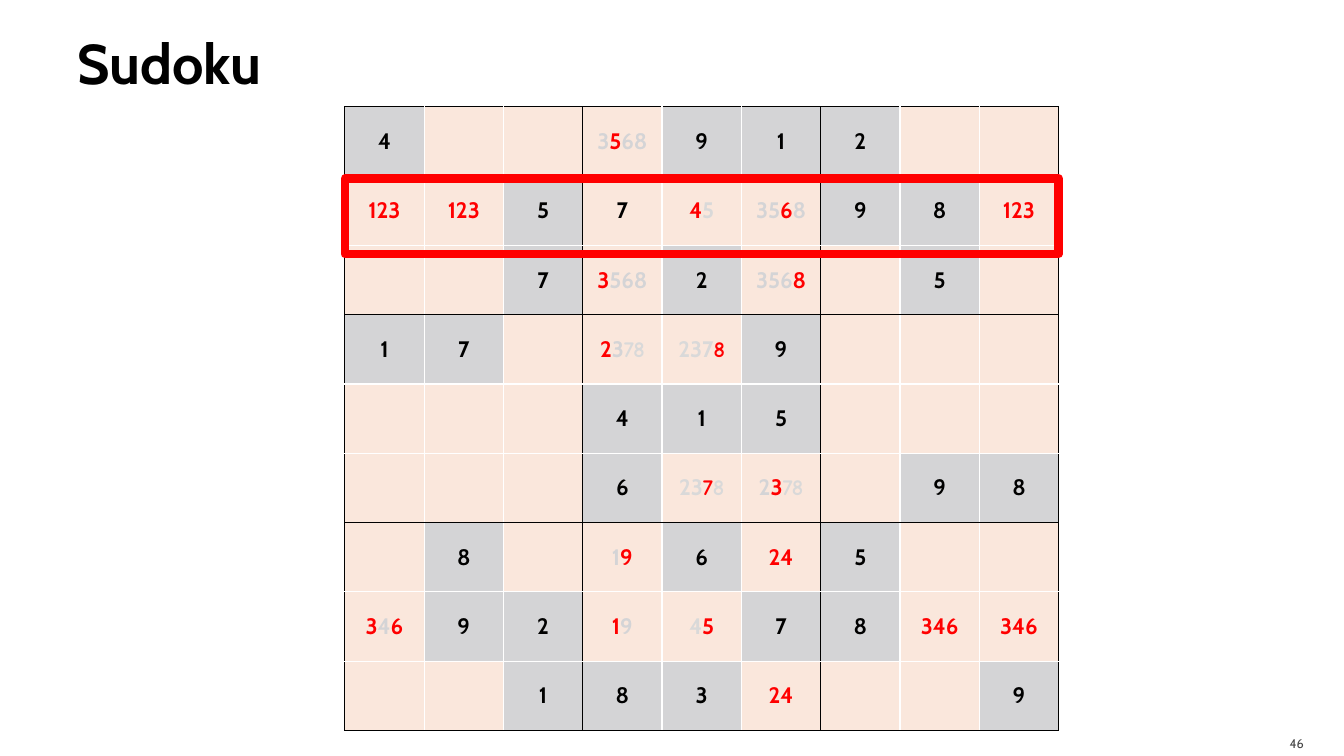
import pptx
import pptx.dml.color
import pptx.enum.shapes
import pptx.enum.text
import pptx.oxml
import pptx.oxml.ns
import pptx.util

Inches = pptx.util.Inches
ALIGN = pptx.enum.text.PP_ALIGN
MIDDLE = pptx.enum.text.MSO_ANCHOR.MIDDLE

BLACK, WHITE, RED = "000000", "FFFFFF", "FF0000"
GIVEN, OPEN, PALE = "D4D4D6", "FAE7DC", "D9D9D9"

INKS = {
    "k": ("Cabin", BLACK),
    "r": ("Cabin", RED),
    "g": ("Cabin", GIVEN),
    "l": ("Cabin", PALE),
    "R": ("Comic Neue", RED),
    "L": ("Comic Neue", PALE),
}

GRID = """
4 . . g3+r5+g68 9 1 2 . .
r123 r123 5 k7 r4+l5 g35+r6+g8 9 8 r123
. . 7 r3+g568 2 g356+r8 . 5 .
1 7 . r2+g3+L78 l237+R8 9 . . .
. . . 4 1 5 . . .
. . . 6 l23+R7+L8 g2+r3+L78 . 9 8
. 8 . g1+r9 6 r24 5 . .
r3+g4+r6 9 2 r1+g9 l4+r5 7 8 r346 r346
. . 1 8 3 r24 . . 9
"""


def rgb(code):
    return pptx.dml.color.RGBColor.from_string(code)


def box(left, top, width, height):
    return [Inches(side) for side in (left, top, width, height)]


def assign(target, **values):
    for name, value in values.items():
        setattr(target, name, value)


class Painter:
    """Draws styled text, a sudoku grid and frames on one slide."""

    def __init__(self, slide):
        self.shapes = slide.shapes

    def run(self, para, text, size, face="Cabin", ink=BLACK, bold=True):
        run = para.add_run()
        run.text = text
        assign(run.font, name=face, size=pptx.util.Pt(size), bold=bold)
        run.font.color.rgb = rgb(ink)

    def label(self, place, text, size, inset, align=ALIGN.LEFT, **style):
        frame = self.shapes.add_textbox(*box(*place)).text_frame
        sides = ("margin_left", "margin_top", "margin_right", "margin_bottom")
        margins = dict(zip(sides, map(Inches, inset)))
        assign(frame, word_wrap=True, vertical_anchor=MIDDLE, **margins)
        frame.paragraphs[0].alignment = align
        self.run(frame.paragraphs[0], text, size, **style)

    def border(self, cell, row, col):
        edges = {"L": col % 3 == 0, "R": col % 3 == 2,
                 "T": row % 3 == 0, "B": row % 3 == 2}
        props = cell._tc.get_or_add_tcPr()
        for side, dark in edges.items():
            props.append(pptx.oxml.parse_xml(
                f'<a:ln{side} {pptx.oxml.ns.nsdecls("a")} w="12700">'
                f'<a:solidFill><a:srgbClr val="{BLACK if dark else WHITE}"/>'
                f'</a:solidFill></a:ln{side}>'))

    def cell(self, cell, code, row, col):
        self.border(cell, row, col)
        cell.fill.solid()
        cell.fill.fore_color.rgb = rgb(GIVEN if code.isdigit() else OPEN)
        cell.vertical_anchor = MIDDLE
        para = cell.text_frame.paragraphs[0]
        para.alignment = ALIGN.CENTER
        if code == ".":
            return
        for part in code.split("+"):
            key, text = ("k", part) if part.isdigit() else (part[0], part[1:])
            face, ink = INKS[key]
            self.run(para, text, 16, face, ink)

    def grid(self, place, rows):
        table = self.shapes.add_table(len(rows), len(rows[0]), *box(*place)).table
        assign(table, first_row=False, horz_banding=False)
        for row, codes in enumerate(rows):
            for col, code in enumerate(codes):
                self.cell(table.cell(row, col), code, row, col)

    def frame(self, place, ink, width):
        shape = self.shapes.add_shape(
            pptx.enum.shapes.MSO_SHAPE.RECTANGLE, *box(*place))
        shape.shadow.inherit = False
        shape.fill.background()
        shape.line.color.rgb = rgb(ink)
        shape.line.width = pptx.util.Pt(width)


def main():
    deck = pptx.Presentation()
    assign(deck, slide_width=Inches(13.33), slide_height=Inches(7.5))
    pen = Painter(deck.slides.add_slide(deck.slide_layouts[6]))
    pen.label((0.67, 0.08, 12, 1.08), "Sudoku", 40, (0.1, 0.05, 0.05, 0.05))
    pen.label((11.96, 7.2, 1.07, 0.3), "46", 9, (0.1, 0.05, 0.1, 0),
              ALIGN.RIGHT, ink="454545", bold=False)
    pen.grid((3.42, 1.06, 7.08, 6.19),
             [line.split() for line in GRID.strip().splitlines()])
    pen.frame((3.42, 1.77, 7.08, 0.75), RED, 6)
    deck.save("out.pptx")


if __name__ == "__main__":
    main()
